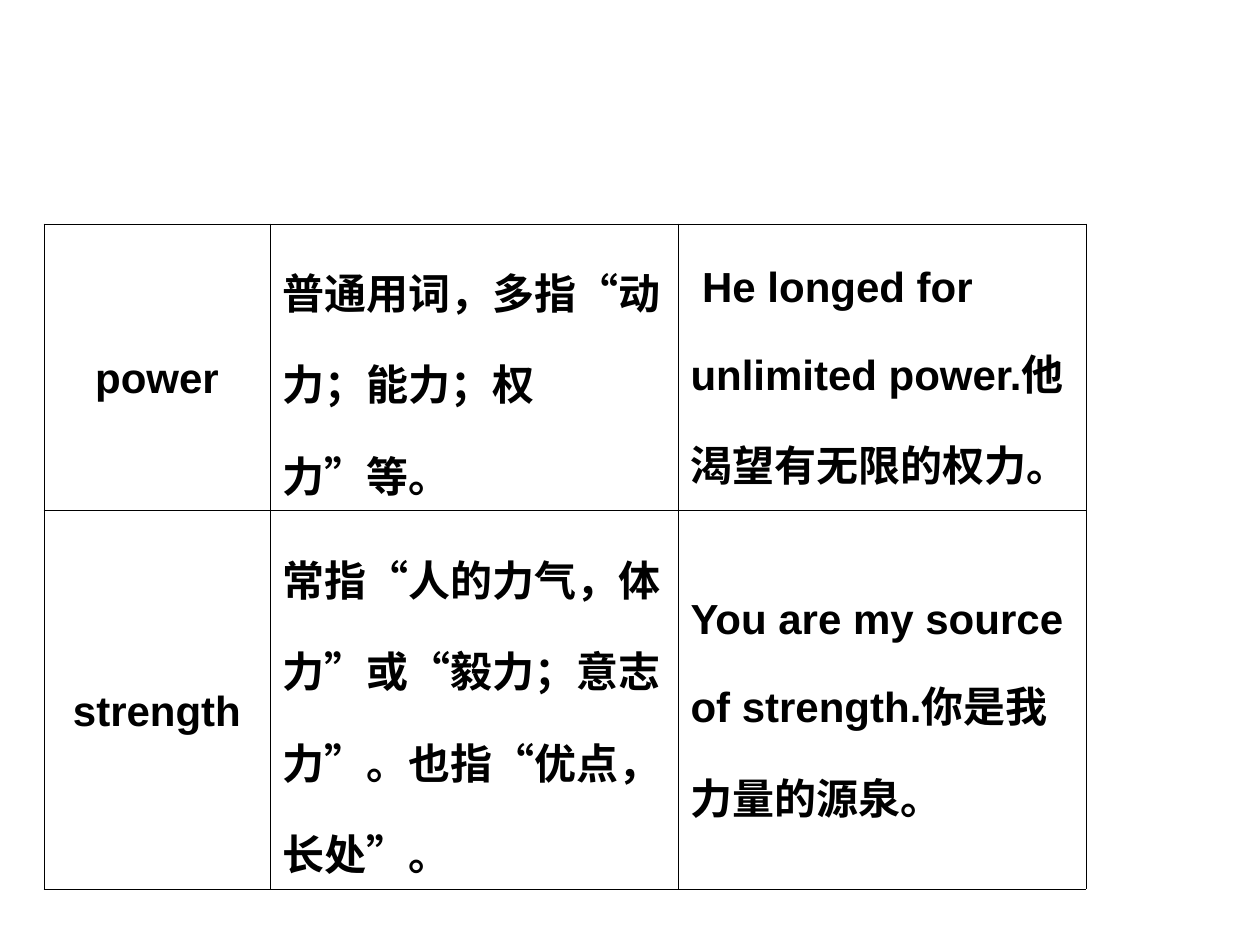
from dataclasses import dataclass
from itertools import groupby

from lxml import etree
from pptx import Presentation
from pptx.dml.color import RGBColor
from pptx.enum.text import MSO_ANCHOR, PP_ALIGN
from pptx.oxml.ns import qn
from pptx.util import Emu, Pt

CENTER, LEFT = PP_ALIGN.CENTER, PP_ALIGN.LEFT
MIDDLE = MSO_ANCHOR.MIDDLE
PX = 914400 // 126
BLANK_LAYOUT = 6


@dataclass(frozen=True)
class Theme:
    ink: str = "000000"
    body_size: int = 24
    border_width: float = 0.45
    line_spacing: float = 1.5
    english: str = "Arial"
    chinese: str = "Times New Roman"
    quotes: str = "Noto Sans CJK SC"


THEME = Theme()
TABLE_LEFT, TABLE_TOP = 44, 224
COLUMN_WIDTHS = (226, 408, 408)
ROW_HEIGHTS = (239, 315)
WORD_USAGE = (
    ("power", "普通用词，多指“动力；能力；权力”等。",
     " He longed for unlimited power.他渴望有无限的权力。"),
    ("strength", "常指“人的力气，体力”或“毅力；意志力”。也指“优点，长处”。",
     "You are my source of strength.你是我力量的源泉。"),
)


def px(length):
    return Emu(length * PX)


def typeface_for(character):
    if character in "“”":
        return THEME.quotes
    return THEME.english if character.isascii() else THEME.chinese


def add_mixed_text(paragraph, text):
    """Add one run for each stretch of English, Chinese or quotation marks."""
    for typeface, characters in groupby(text, typeface_for):
        run = paragraph.add_run()
        run.text = "".join(characters)
        font = run.font
        font.size = Pt(THEME.body_size)
        font.bold = True
        font.color.rgb = RGBColor.from_string(THEME.ink)
        font.name = typeface
        properties = run._r.get_or_add_rPr()
        properties.set("lang", "en-US" if typeface == THEME.english else "zh-CN")
        east_asian = etree.SubElement(properties, qn("a:ea"))
        east_asian.set("typeface", THEME.quotes)


def add_borders(cell):
    """Borders must come before the fill in the cell properties."""
    properties = cell._tc.get_or_add_tcPr()
    for side in ("a:lnL", "a:lnR", "a:lnT", "a:lnB"):
        border = etree.SubElement(properties, qn(side), w=str(Pt(THEME.border_width)))
        fill = etree.SubElement(border, qn("a:solidFill"))
        etree.SubElement(fill, qn("a:srgbClr"), val=THEME.ink)


def fill_cell(cell, text, alignment):
    add_borders(cell)
    cell.fill.background()
    cell.vertical_anchor = MIDDLE
    paragraph = cell.text_frame.paragraphs[0]
    paragraph.alignment = alignment
    paragraph.line_spacing = THEME.line_spacing
    # Keep closing punctuation inside the cell.
    paragraph._p.get_or_add_pPr().set("hangingPunct", "0")
    add_mixed_text(paragraph, text)


def add_usage_table(slide):
    table = slide.shapes.add_table(
        len(ROW_HEIGHTS), len(COLUMN_WIDTHS), px(TABLE_LEFT), px(TABLE_TOP),
        px(sum(COLUMN_WIDTHS)), px(sum(ROW_HEIGHTS))).table
    table.first_row = table.horz_banding = False
    for column, width in zip(table.columns, COLUMN_WIDTHS):
        column.width = px(width)
    for row, height, entry in zip(table.rows, ROW_HEIGHTS, WORD_USAGE):
        row.height = px(height)
        for cell, text, alignment in zip(row.cells, entry, (CENTER, LEFT, LEFT)):
            fill_cell(cell, text, alignment)


def main():
    presentation = Presentation()
    presentation.slide_width, presentation.slide_height = px(1260), px(945)
    slide = presentation.slides.add_slide(presentation.slide_layouts[BLANK_LAYOUT])
    add_usage_table(slide)
    presentation.save("out.pptx")


if __name__ == "__main__":
    main()
